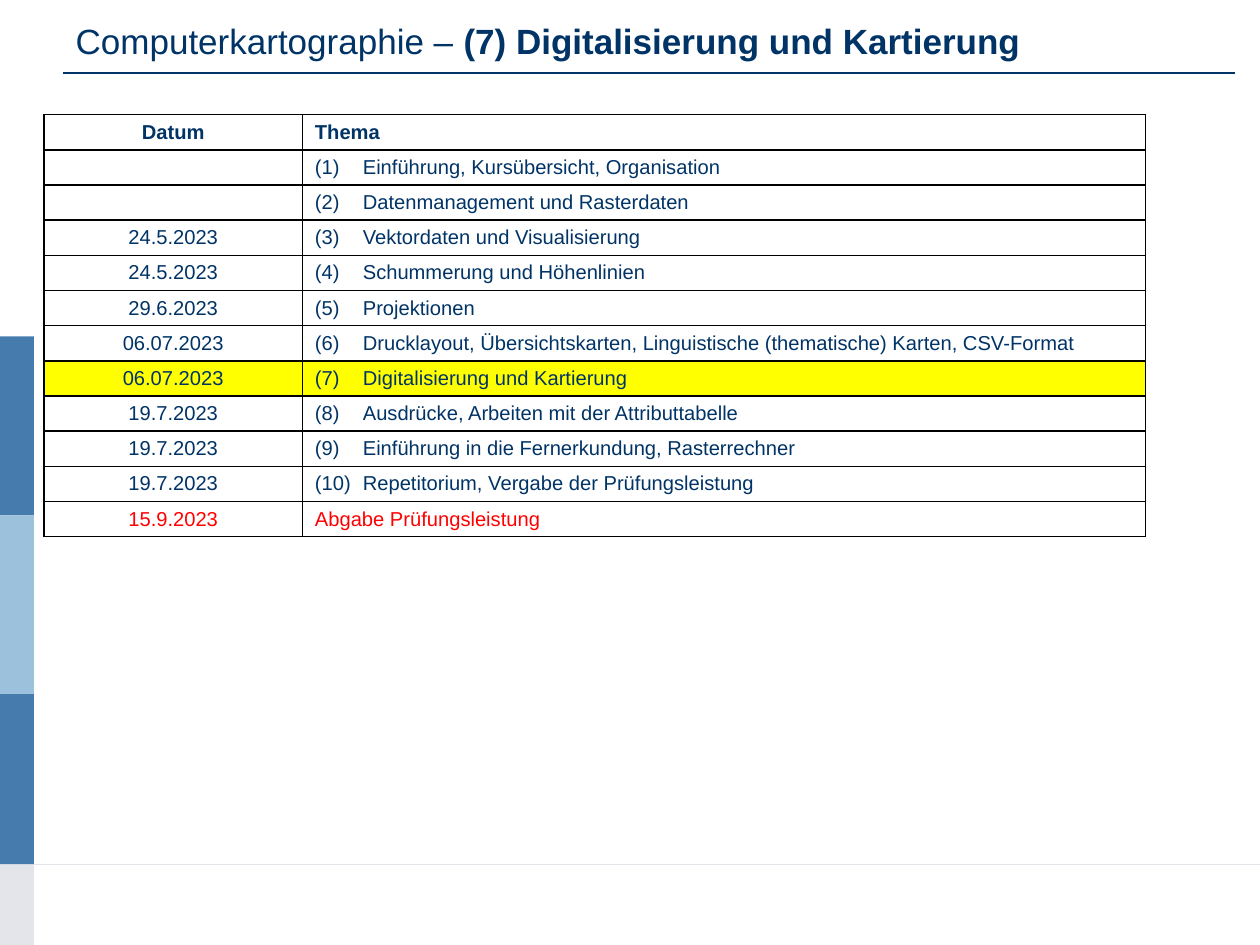
from pptx import Presentation
from pptx.dml.color import RGBColor
from pptx.enum.shapes import MSO_CONNECTOR, MSO_SHAPE
from pptx.enum.text import MSO_ANCHOR, PP_ALIGN
from pptx.oxml.ns import qn
from pptx.util import Inches, Pt
from lxml.etree import SubElement

COLORS = {"navy": "003366", "blue": "457BAD", "sky": "9CC1DD", "grey": "E4E5EA",
          "yellow": "FFFF00", "red": "FF0000", "black": "000000"}
FONT = "Arial"
TITLE = [("Computerkartographie – ", False), ("(7) Digitalisierung und Kartierung", True)]
HEADER = ("Datum", "Thema")
SESSIONS = [
    ("", "Einführung, Kursübersicht, Organisation"),
    ("", "Datenmanagement und Rasterdaten"),
    ("24.5.2023", "Vektordaten und Visualisierung"),
    ("24.5.2023", "Schummerung und Höhenlinien"),
    ("29.6.2023", "Projektionen"),
    ("06.07.2023", "Drucklayout, Übersichtskarten, Linguistische (thematische) Karten, CSV-Format"),
    ("06.07.2023", "Digitalisierung und Kartierung"),
    ("19.7.2023", "Ausdrücke, Arbeiten mit der Attributtabelle"),
    ("19.7.2023", "Einführung in die Fernerkundung, Rasterrechner"),
    ("19.7.2023", "Repetitorium, Vergabe der Prüfungsleistung"),
]
DEADLINE = ("15.9.2023", "Abgabe Prüfungsleistung")
CURRENT_SESSION = 7
SIDEBAR = [(2.67, "blue"), (4.09, "sky"), (5.51, "blue"), (6.86, "grey")]  # top, colour
COLUMN_WIDTHS = (2.05, 6.69)
TABLE_HEIGHT = 3.35
TEXT_SIZE = 11.5


def rgb(name):
    return RGBColor.from_string(COLORS[name])


def style(font, size, color="navy", bold=False):
    font.name, font.size, font.bold = FONT, Pt(size), bold
    font.color.rgb = rgb(color)


def add_rule(slide, left, right, y, color, width):
    rule = slide.shapes.add_connector(MSO_CONNECTOR.STRAIGHT, Inches(left), Inches(y),
                                      Inches(right), Inches(y))
    rule.line.color.rgb = rgb(color)
    rule.line.width = Pt(width)
    SubElement(rule._element.spPr, qn("a:effectLst"))


def add_sidebar(slide):
    bottoms = [top for top, _ in SIDEBAR[1:]] + [7.5]
    for (top, color), bottom in zip(SIDEBAR, bottoms):
        bar = slide.shapes.add_shape(MSO_SHAPE.RECTANGLE, 0, Inches(top),
                                     Inches(0.27), Inches(bottom - top))
        bar.shadow.inherit = False
        bar.fill.solid()
        bar.fill.fore_color.rgb = rgb(color)
        bar.line.fill.background()


def add_title(slide):
    title = slide.shapes.title
    title.left, title.top, title.width, title.height = map(Inches, (0.5, 0.05, 9, 0.55))
    title.text_frame.vertical_anchor = MSO_ANCHOR.MIDDLE
    paragraph = title.text_frame.paragraphs[0]
    paragraph.alignment = PP_ALIGN.LEFT
    for text, bold in TITLE:
        run = paragraph.add_run()
        run.text = text
        style(run.font, 20, bold=bold)


def add_borders(cell):
    properties = cell._tc.get_or_add_tcPr()
    for side in ("lnL", "lnR", "lnT", "lnB"):
        border = SubElement(properties, qn(f"a:{side}"), w=str(Pt(1)))
        fill = SubElement(border, qn("a:solidFill"))
        SubElement(fill, qn("a:srgbClr"), val=COLORS["black"])


def fill_cell(cell, text, color, bold, centered, highlighted):
    add_borders(cell)
    if highlighted:
        cell.fill.solid()
        cell.fill.fore_color.rgb = rgb("yellow")
    else:
        cell.fill.background()
    cell.vertical_anchor = MSO_ANCHOR.MIDDLE
    cell.margin_top = cell.margin_bottom = Inches(0.04)
    cell.text_frame.text = text
    paragraph = cell.text_frame.paragraphs[0]
    paragraph.alignment = PP_ALIGN.CENTER if centered else PP_ALIGN.LEFT
    if "\t" in text:
        hanging = Inches(0.38)
        properties = paragraph._p.get_or_add_pPr()
        properties.set("marL", str(hanging))
        properties.set("indent", str(-hanging))
    for run in paragraph.runs:
        style(run.font, TEXT_SIZE, color, bold)
    if not text:  # keeps an empty row as low as the others
        SubElement(paragraph._p, qn("a:endParaRPr"), sz=str(int(TEXT_SIZE * 100)))


def add_schedule(slide):
    numbered = [(date, f"({n})\t{topic}") for n, (date, topic) in enumerate(SESSIONS, 1)]
    rows = [HEADER, *numbered, DEADLINE]
    table = slide.shapes.add_table(len(rows), len(HEADER), Inches(0.35), Inches(0.91),
                                   Inches(sum(COLUMN_WIDTHS)), Inches(TABLE_HEIGHT)).table
    table.horz_banding = False
    for column, width in zip(table.columns, COLUMN_WIDTHS):
        column.width = Inches(width)
    for r, row in enumerate(rows):
        table.rows[r].height = Inches(TABLE_HEIGHT / len(rows))
        color = "red" if row is DEADLINE else "navy"
        for c, text in enumerate(row):
            fill_cell(table.cell(r, c), text, color, bold=r == 0, centered=c == 0,
                      highlighted=r == CURRENT_SESSION)


def main():
    deck = Presentation()
    deck.slide_width, deck.slide_height = Inches(10), Inches(7.5)
    slide = deck.slides.add_slide(deck.slide_layouts[5])
    add_rule(slide, 0, 10, 6.86, "grey", 0.5)
    add_sidebar(slide)
    add_title(slide)
    add_rule(slide, 0.5, 9.8, 0.58, "navy", 0.75)
    add_schedule(slide)
    deck.save("out.pptx")


if __name__ == "__main__":
    main()
